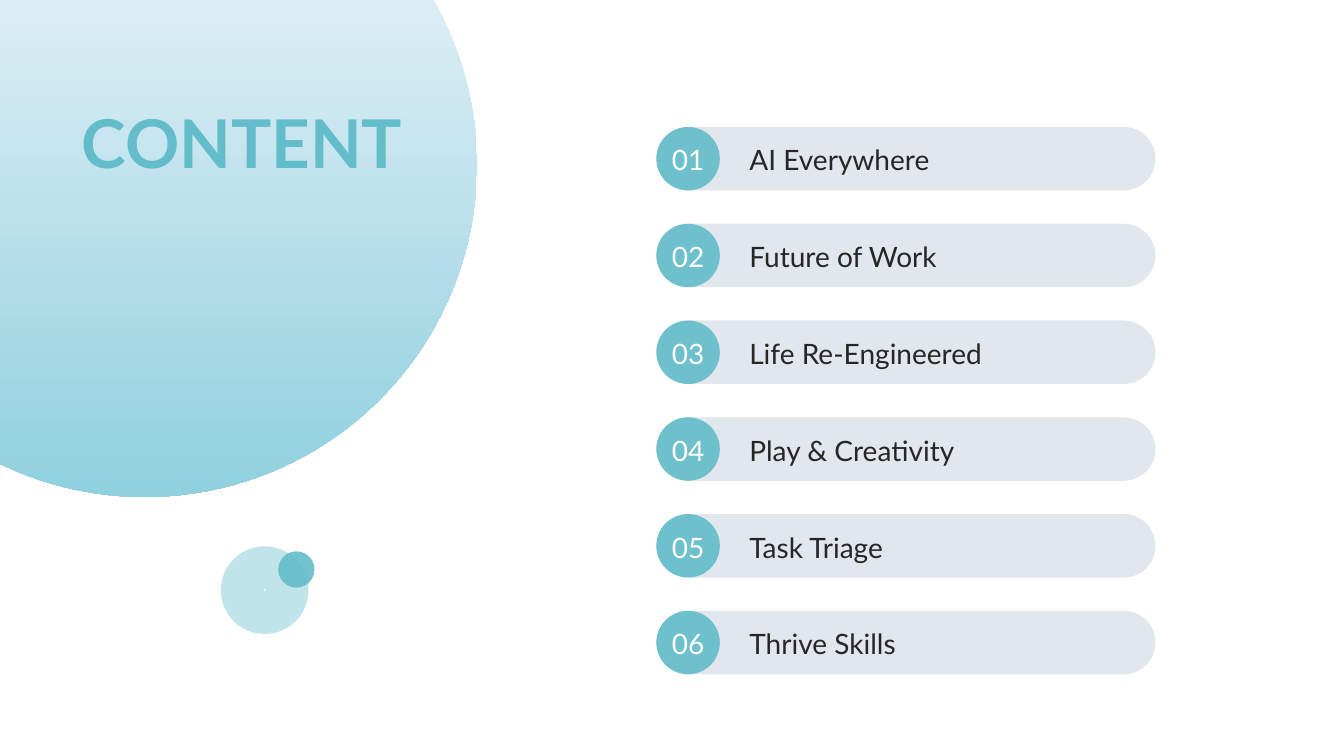
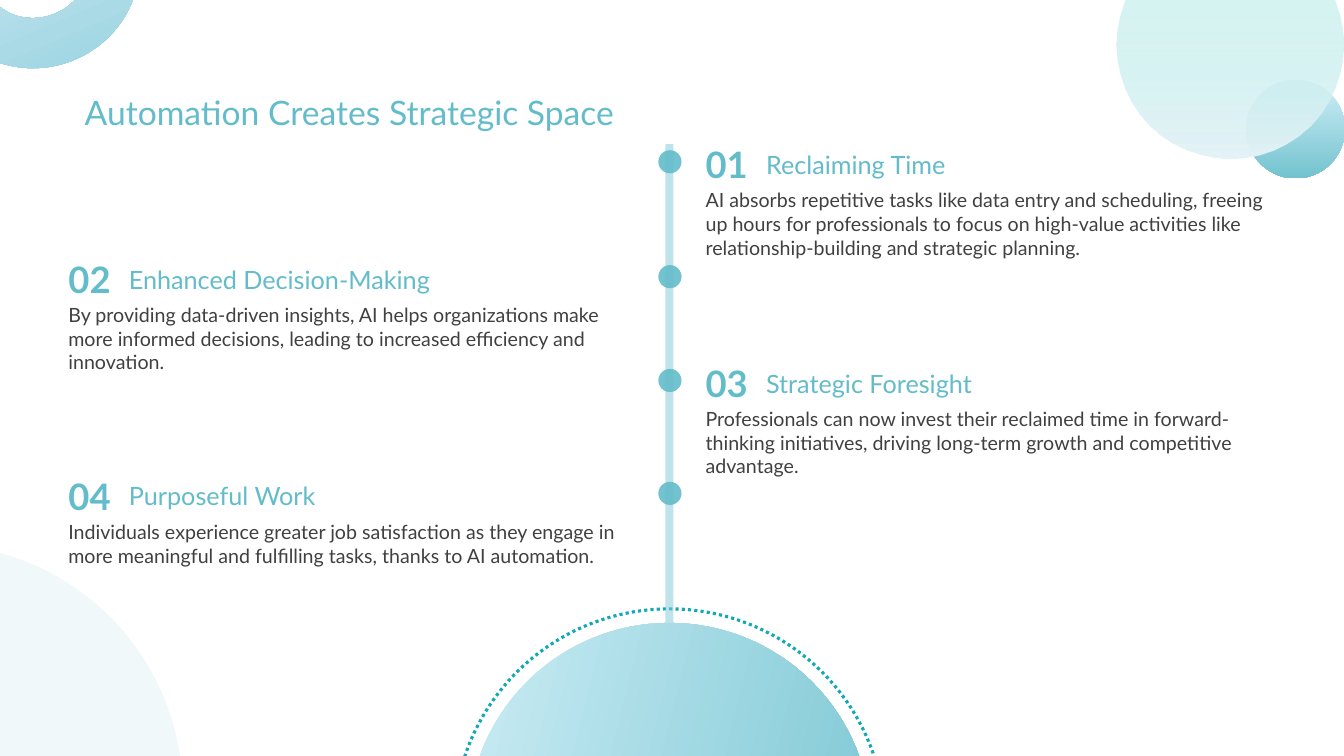
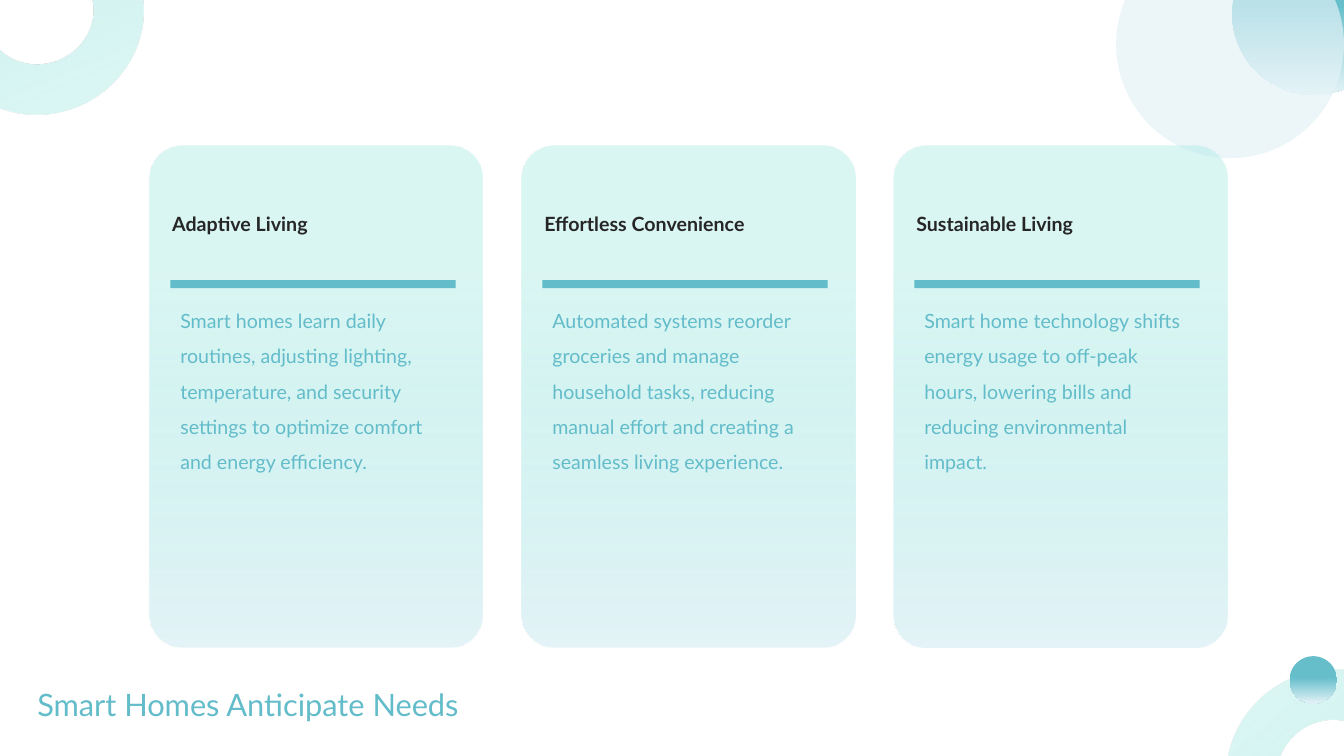
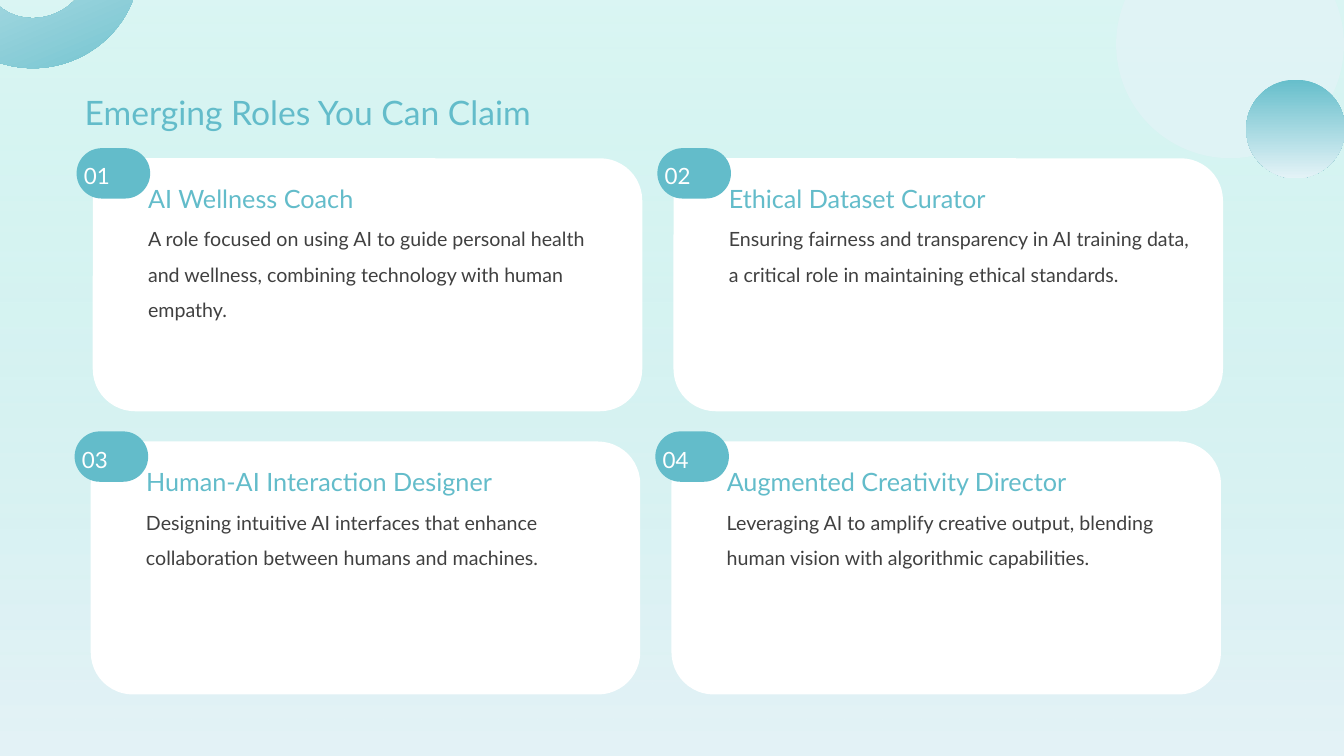
from dataclasses import dataclass

from lxml import etree
from pptx import Presentation
from pptx.dml.color import RGBColor
from pptx.enum.dml import MSO_LINE
from pptx.enum.shapes import MSO_SHAPE
from pptx.enum.text import MSO_ANCHOR, MSO_AUTO_SIZE, PP_ALIGN
from pptx.oxml.ns import qn
from pptx.util import Inches, Pt

RECT, ROUND, OVAL = MSO_SHAPE.RECTANGLE, MSO_SHAPE.ROUNDED_RECTANGLE, MSO_SHAPE.OVAL
ARC, DONUT = MSO_SHAPE.BLOCK_ARC, MSO_SHAPE.DONUT
TOP, MIDDLE = MSO_ANCHOR.TOP, MSO_ANCHOR.MIDDLE
LEFT, CENTER = PP_ALIGN.LEFT, PP_ALIGN.CENTER
NO_AUTOFIT = MSO_AUTO_SIZE.NONE
DOTS = MSO_LINE.ROUND_DOT
TITLE_ONLY = 5


@dataclass(frozen=True)
class Theme:
    """Solid colours are hex strings; gradients are (position, colour, opacity) stops."""
    font: str = "Lato"
    teal: str = "63BCCA"
    dotted: str = "11A9B8"
    rail: str = "80C8D8"
    pill: str = "E2E6ED"
    pale: str = "E4F3F7"
    white: str = "FFFFFF"
    dark: str = "262626"
    grey: str = "404040"
    sky: tuple = ((0, "F6F8FD", 100), (100, "90D0DF", 100))
    lagoon: tuple = ((0, "D2EFF8", 100), (100, "72C3CF", 100))
    haze: tuple = ((0, "91CFDF", 100), (100, "E4F3F7", 100))
    mint: tuple = ((0, "A8EAE4", 42), (100, "E4F3F7", 100))
    mint_held: tuple = ((0, "A8EAE4", 42), (25, "A8EAE4", 42), (100, "E4F3F7", 100))
    surf: tuple = ((0, "66BECB", 100), (100, "E4F3F7", 100))
    surf_held: tuple = ((0, "66BECB", 100), (45, "66BECB", 100), (100, "E4F3F7", 100))
    cover: int = 48
    number: int = 26
    title: int = 24
    title_low: int = 22
    entry: int = 20
    heading: int = 18
    badge: int = 16
    body: int = 14


T = Theme()


class Deck:
    def __init__(self):
        self.prs = Presentation()
        self.prs.slide_width, self.prs.slide_height = Inches(13.33), Inches(7.5)
        self.slide = None

    def new_slide(self):
        self.slide = self.prs.slides.add_slide(self.prs.slide_layouts[TITLE_ONLY])

    def set_text(self, sp, text, size, color, bold=False, anchor=TOP, align=LEFT,
                 spacing=None, insets=(0.1, 0.05, 0.1, 0.05)):
        tf = sp.text_frame
        tf.text = text
        tf.word_wrap = True
        tf.auto_size = NO_AUTOFIT
        tf.vertical_anchor = anchor
        tf.margin_left, tf.margin_top, tf.margin_right, tf.margin_bottom = map(Inches, insets)
        p = tf.paragraphs[0]
        p.alignment = align
        if spacing:
            p.line_spacing = spacing
        font = p.runs[0].font
        font.name, font.size, font.bold = T.font, Pt(size), bold
        font.color.rgb = RGBColor.from_string(color)

    def title(self, text, x=0.74, y=0.86, w=11.39, h=0.4, size=T.title, **style):
        """Place the title above everything drawn so far."""
        sp = self.slide.shapes.title
        sp.left, sp.top, sp.width, sp.height = map(Inches, (x, y, w, h))
        self.slide.shapes._spTree.append(sp._element)
        self.set_text(sp, text, size, T.teal, **style)

    def text(self, x, y, w, h, text, size, color, **style):
        sp = self.slide.shapes.add_textbox(*map(Inches, (x, y, w, h)))
        self.set_text(sp, text, size, color, **style)

    def shape(self, kind, x, y, w, h, fill=None, opacity=100, adj=(), rotation=0):
        sp = self.slide.shapes.add_shape(kind, *map(Inches, (x, y, w, h)))
        sp.shadow.inherit = False
        sp.line.fill.background()
        sp.rotation = rotation
        for i, value in enumerate(adj):
            sp.adjustments[i] = value
        if fill is None:
            sp.fill.background()
        elif isinstance(fill, str):
            sp.fill.solid()
            sp.fill.fore_color.rgb = RGBColor.from_string(fill)
            if opacity < 100:
                self.set_opacity(sp._element.spPr.find(".//" + qn("a:srgbClr")), opacity)
        else:
            self.set_gradient(sp, fill)
        return sp

    @staticmethod
    def set_opacity(color, percent):
        etree.SubElement(color, qn("a:alpha"), val=str(percent * 1000))

    def set_gradient(self, sp, stops):
        """Fill from top to bottom."""
        sp.fill.gradient()
        sp.fill.gradient_angle = 270
        stop_list = sp._element.spPr.find(".//" + qn("a:gsLst"))
        for old in list(stop_list):
            stop_list.remove(old)
        for position, color, opacity in stops:
            gs = etree.SubElement(stop_list, qn("a:gs"), pos=str(position * 1000))
            clr = etree.SubElement(gs, qn("a:srgbClr"), val=color)
            if opacity < 100:
                self.set_opacity(clr, opacity)

    def circle(self, x, y, d, fill=None, opacity=100, rotation=0):
        return self.shape(OVAL, x, y, d, d, fill, opacity, rotation=rotation)

    def half_ring(self, x, y, fill, rotation=157):
        self.shape(ARC, x, y, 2.07, 1.99, fill, adj=(108, 0, 0.25), rotation=rotation)

    def corner_ring(self, fill):
        self.half_ring(-0.68, -1.32, fill)

    def corner_bubble(self, fill, opacity=100):
        self.circle(11.07, -0.69, 2.26, fill, opacity)

    def corner_ball(self, fill):
        self.circle(12.36, 0.79, 0.98, fill)


def content_slide(deck):
    deck.new_slide()
    deck.shape(DONUT, 2.19, 5.42, 0.87, 0.87, T.teal, 40, adj=(0.489,))
    deck.circle(-1.86, -1.66, 6.59, T.sky)
    deck.circle(2.76, 5.47, 0.36, T.teal, 90)
    deck.title("CONTENT", 0.71, 0.96, 4.8, 1.09, T.cover, bold=True)
    entries = ("AI Everywhere", "Future of Work", "Life Re-Engineered",
               "Play & Creativity", "Task Triage", "Thrive Skills")
    for i, entry in enumerate(entries):
        y = 1.26 + 0.96 * i
        pill = deck.shape(ROUND, 6.51, y, 4.95, 0.63, T.pill, adj=(0.5,))
        deck.set_text(pill, entry, T.entry, T.dark, anchor=MIDDLE, insets=(0.83, 0.02, 0, 0))
        disc = deck.circle(6.51, y, 0.63, T.teal, 90)
        deck.set_text(disc, f"{i + 1:02}", T.entry, T.white, anchor=MIDDLE, align=CENTER,
                      insets=(0, 0.02, 0, 0))


def timeline_slide(deck):
    deck.new_slide()
    deck.corner_ball(T.lagoon)
    deck.corner_ring(T.haze)
    deck.title("Automation Creates Strategic Space")
    deck.corner_bubble(T.mint)
    halo = deck.circle(4.5, 6.04, 4.28)
    halo.line.color.rgb = RGBColor.from_string(T.dotted)
    halo.line.width = Pt(2.25)
    halo.line.dash_style = DOTS
    deck.circle(4.64, 6.18, 4, T.lagoon, rotation=284)
    deck.circle(-3.1, 5.4, 4.91, T.pale, 55)
    deck.shape(RECT, 6.6, 1.43, 0.08, 4.74, T.rail, 50)
    steps = (
        (1.36, "Reclaiming Time",
         "AI absorbs repetitive tasks like data entry and scheduling, freeing up hours for "
         "professionals to focus on high-value activities like relationship-building and "
         "strategic planning."),
        (2.5, "Enhanced Decision-Making",
         "By providing data-driven insights, AI helps organizations make more informed "
         "decisions, leading to increased efficiency and innovation."),
        (3.53, "Strategic Foresight",
         "Professionals can now invest their reclaimed time in forward-thinking initiatives, "
         "driving long-term growth and competitive advantage."),
        (4.65, "Purposeful Work",
         "Individuals experience greater job satisfaction as they engage in more meaningful "
         "and fulfilling tasks, thanks to AI automation."),
    )
    for i, (y, heading, body) in enumerate(steps):
        x = 0.58 if i % 2 else 6.9
        deck.circle(6.53, y + 0.13, 0.23, T.teal, 90)
        deck.text(x, y, 0.71, 0.5, f"{i + 1:02}", T.number, T.teal, bold=True)
        deck.text(x + 0.6, y + 0.07, 3.92, 0.37, heading, T.heading, T.teal)
        deck.text(x, y + 0.46, 5.87, 0.93, body, T.body, T.grey)


def columns_slide(deck):
    deck.new_slide()
    deck.circle(12.22, -0.68, 1.62, T.surf_held)
    deck.half_ring(-0.64, -0.86, T.mint_held)
    deck.title("Smart Homes Anticipate Needs", 0.27, 6.55, 6.55, 0.87, T.title_low,
               anchor=MIDDLE)
    deck.corner_bubble(T.pale, 67)
    columns = (
        ("Adaptive Living",
         "Smart homes learn daily routines, adjusting lighting, temperature, and security "
         "settings to optimize comfort and energy efficiency."),
        ("Effortless Convenience",
         "Automated systems reorder groceries and manage household tasks, reducing manual "
         "effort and creating a seamless living experience."),
        ("Sustainable Living",
         "Smart home technology shifts energy usage to off-peak hours, lowering bills and "
         "reducing environmental impact."),
    )
    for i, (heading, body) in enumerate(columns):
        x = 1.48 + 3.69 * i
        deck.shape(ROUND, x, 1.45, 3.31, 4.97, T.mint_held, adj=(0.1,))
        deck.shape(RECT, x + 0.21, 2.78, 2.83, 0.08, T.teal)
        deck.text(x + 0.13, 1.89, 3.06, 0.65, heading, T.body, T.dark, bold=True,
                  anchor=MIDDLE)
        deck.text(x + 0.21, 2.9, 2.83, 3.27, body, T.body, T.teal, spacing=1.5)
    deck.half_ring(12.15, 6.66, T.mint_held, rotation=321)
    deck.circle(12.79, 6.51, 0.47, T.surf_held)


def roles_slide(deck):
    deck.new_slide()
    deck.shape(RECT, 0, 0, 13.33, 7.5, T.mint)
    deck.corner_ring(T.surf)
    deck.title("Emerging Roles You Can Claim")
    deck.corner_bubble(T.pale, 67)
    deck.corner_ball(T.surf)
    roles = (
        ("AI Wellness Coach",
         "A role focused on using AI to guide personal health and wellness, combining "
         "technology with human empathy."),
        ("Ethical Dataset Curator",
         "Ensuring fairness and transparency in AI training data, a critical role in "
         "maintaining ethical standards."),
        ("Human-AI Interaction Designer",
         "Designing intuitive AI interfaces that enhance collaboration between humans and "
         "machines."),
        ("Augmented Creativity Director",
         "Leveraging AI to amplify creative output, blending human vision with algorithmic "
         "capabilities."),
    )
    for i, (heading, body) in enumerate(roles):
        row, col = divmod(i, 2)
        x, y = 0.92 + 5.76 * col - 0.02 * row, 1.57 + 2.81 * row
        deck.shape(ROUND, x, y, 5.45, 2.51, T.white, adj=(0.167,))
        badge = deck.shape(ROUND, x - 0.16, y - 0.1, 0.73, 0.5, T.teal, adj=(0.5,))
        deck.set_text(badge, f"{i + 1:02}", T.badge, T.white, anchor=MIDDLE,
                      insets=(0, 0.05, 0, 0))
        deck.text(x + 0.45, y + 0.2, 3.92, 0.37, heading, T.heading, T.teal)
        deck.text(x + 0.45, y + 0.52, 4.87, 1.36, body, T.body, T.grey, spacing=1.5)


def main():
    deck = Deck()
    for build in (content_slide, timeline_slide, columns_slide, roles_slide):
        build(deck)
    deck.prs.save("out.pptx")


if __name__ == "__main__":
    main()
